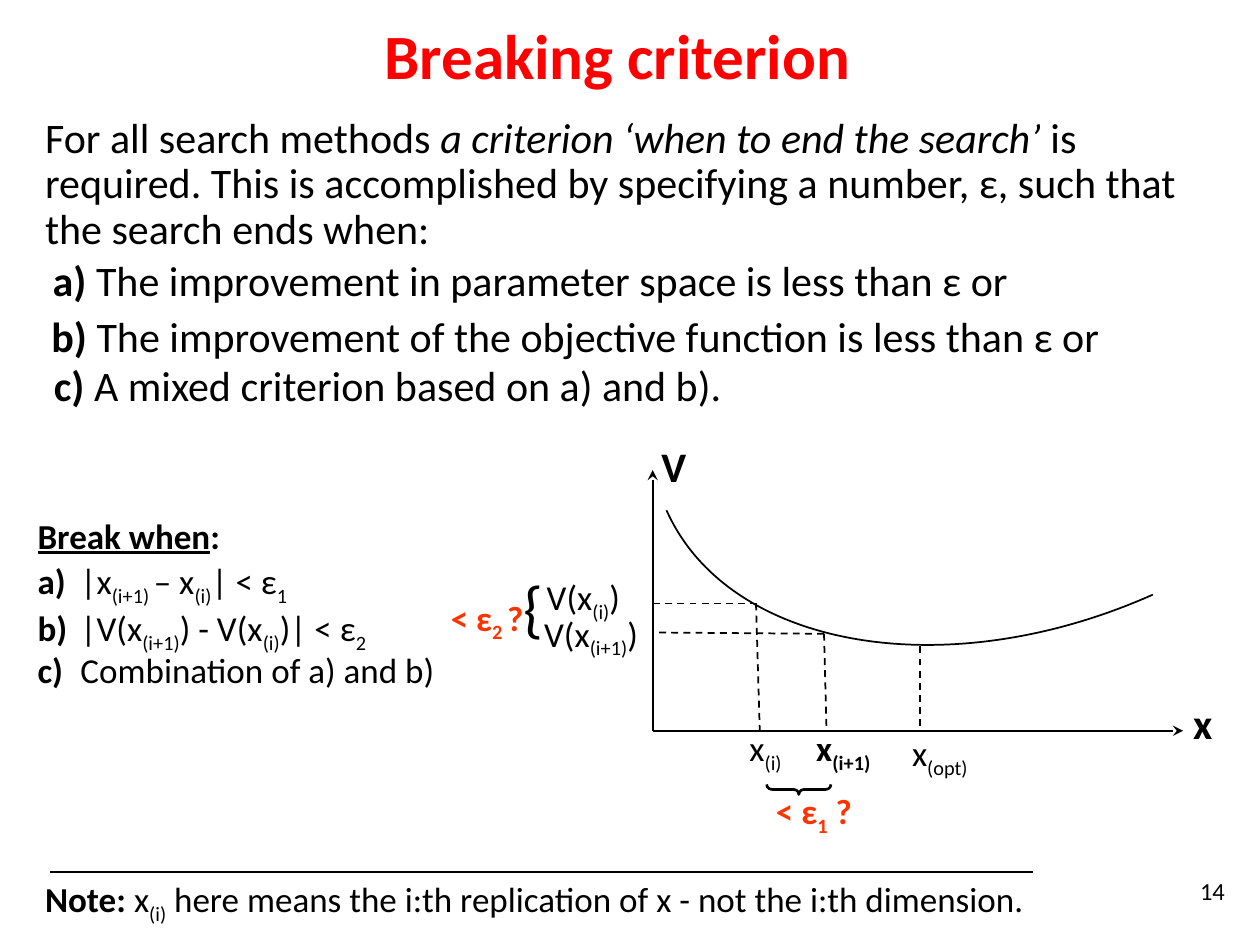
from dataclasses import dataclass

import pptx
import pptx.dml.color
import pptx.enum.dml
import pptx.enum.shapes
import pptx.enum.text
import pptx.oxml
import pptx.oxml.ns
import pptx.util

SCALE = 9144  # EMU per px, at 100 px to the inch
FONT = "Calibri"
COLORS = {"text": "000000", "title": "FF0000", "question": "FF3300"}
ALIGN = pptx.enum.text.PP_ALIGN
SHAPE = pptx.enum.shapes.MSO_SHAPE


@dataclass
class Box:
    left: int
    top: int
    width: int
    height: int

    def inner(self, left, top, width, height):
        """Return a box whose position is given relative to this one."""
        return Box(self.left + left, self.top + top, width, height)

    def emu(self):
        return [px * SCALE for px in (self.left, self.top, self.width, self.height)]


def rgb(name):
    return pptx.dml.color.RGBColor.from_string(COLORS[name])


def add_runs(paragraph, runs, size, color):
    """Fill a paragraph from (text, flags) pairs; flags: b, i, u and s for subscript."""
    bold = all("b" in flags for _, flags in runs)
    for text, flags in runs:
        run = paragraph.add_run()
        run.text = text
        if "b" in flags and not bold:
            run.font.bold = True
        if "i" in flags:
            run.font.italic = True
        if "u" in flags:
            run.font.underline = True
        if "s" in flags:
            run.font._element.set("baseline", "-25000")
    paragraph.font.name = FONT
    paragraph.font.size = pptx.util.Pt(size)
    paragraph.font.bold = bold
    paragraph.font.color.rgb = rgb(color)


def add_text(slide, box, *paragraphs, size=20, color="text", align=ALIGN.LEFT,
             spacing=1, middle=False, wrap=True):
    frame = slide.shapes.add_textbox(*box.emu()).text_frame
    frame.word_wrap = wrap
    if middle:
        frame.vertical_anchor = pptx.enum.text.MSO_ANCHOR.MIDDLE
    for index, runs in enumerate(paragraphs):
        paragraph = frame.add_paragraph() if index else frame.paragraphs[0]
        paragraph.alignment = align
        paragraph.line_spacing = spacing
        if index:
            paragraph.space_before = pptx.util.Pt(2)
        add_runs(paragraph, runs, size, color)
    return frame


def add_line(slide, box, start, end, width=1, dashed=False, arrow=False):
    points = [box.left + start[0], box.top + start[1], box.left + end[0], box.top + end[1]]
    line = slide.shapes.add_connector(
        pptx.enum.shapes.MSO_CONNECTOR.STRAIGHT, *[px * SCALE for px in points])
    line.line.width = pptx.util.Pt(width)
    line.line.color.rgb = rgb("text")
    if dashed:
        line.line.dash_style = pptx.enum.dml.MSO_LINE.DASH
    properties = line._element.spPr
    if arrow:
        outline = properties.find(pptx.oxml.ns.qn("a:ln"))
        tail = pptx.oxml.parse_xml(f'<a:tailEnd {pptx.oxml.ns.nsdecls("a")} type="stealth"/>')
        outline.append(tail)
    properties.append(pptx.oxml.parse_xml(f'<a:effectLst {pptx.oxml.ns.nsdecls("a")}/>'))


def style_outline(shape, width):
    shape.shadow.inherit = False
    shape.fill.background()
    shape.line.color.rgb = rgb("text")
    shape.line.width = pptx.util.Pt(width)


def add_curve(slide, box, start, *controls_and_end):
    """Draw one cubic Bézier segment, turning the builder's three lines into a curve."""
    points = [(box.left + x, box.top + y) for x, y in (start, *controls_and_end)]
    builder = slide.shapes.build_freeform(*points[0], scale=SCALE)
    builder.add_line_segments(points[1:], close=False)
    shape = builder.convert_to_shape()
    segments = shape._element.xpath(".//a:lnTo")
    outline = segments[0].getparent()
    curve = pptx.oxml.parse_xml(f'<a:cubicBezTo {pptx.oxml.ns.nsdecls("a")}/>')
    for segment in segments:
        curve.append(segment[0])
        outline.remove(segment)
    outline.append(curve)
    style_outline(shape, 1)


def add_title(slide, box):
    add_text(slide, box, [("Breaking criterion", "b")], size=36, color="title",
             align=ALIGN.CENTER, middle=True)


def add_introduction(slide, box):
    add_text(slide, box.inner(0, 0, box.width, 119), [
        ("For all search methods ", ""),
        ("a criterion ‘when to end the search’ ", "i"),
        ("is required. This is accomplished by specifying a number, ε, "
         "such that the search ends when:", "")], size=24, spacing=0.9)
    for left, top, letter, text in (
            (6, 114, "a)", " The improvement in parameter space is less than ε or"),
            (5, 158, "b)", " The improvement of the objective function is less than ε or"),
            (7, 197, "c)", " A mixed criterion based on a) and b).")):
        add_text(slide, box.inner(left, top, box.width, 46),
                 [(letter, "b"), (text, "")], size=24, spacing=0.9)


def add_break_rules(slide, box):
    frame = add_text(
        slide, box,
        [("Break when", "bu"), (":", "b")],
        [("a)", "b"), ("\t|x", ""), ("(i+1) ", "s"), ("– x", ""), ("(i)", "s"),
         ("| < ε", ""), ("1", "s")],
        [("b)", "b"), ("\t|V(x", ""), ("(i+1)", "s"), (") - V(x", ""), ("(i)", "s"),
         (")| < ε", ""), ("2", "s")],
        [("c)", "b"), ("\tCombination of a) and b)", "")],
        spacing=0.9)
    indent = 34 * SCALE
    for paragraph in frame.paragraphs[1:]:
        properties = paragraph._p.get_or_add_pPr()
        properties.set("marL", str(indent))
        properties.set("indent", str(-indent))


def add_graph(slide, box):
    """Draw the axes along the left and bottom edges of the box, with curve and labels."""
    corner = (0, box.height)
    add_curve(slide, box, (397, 99), (233, 172), (60, 142), (11, 32))
    add_line(slide, box, corner, (0, 0), arrow=True)
    add_line(slide, box, corner, (box.width, box.height), arrow=True)
    for start, end in (((212, 140), (212, 206)),
                       ((82, 106), (85, 207)), ((83, 106), (0, 106)),
                       ((136, 130), (138, 207)), ((136, 130), (0, 129))):
        add_line(slide, box, start, end, dashed=True)

    for place, name in (((419, 176, 38, 51), "x"), ((-3, -28, 38, 51), "V")):
        add_text(slide, box.inner(*place), [(name, "b")], size=24)
    for place, runs in (
            ((67, 199, 76, 44), [("x", ""), ("(i)", "s")]),
            ((120, 199, 76, 44), [("x", "b"), ("(i+1)", "bs")]),
            ((196, 203, 83, 44), [("x", ""), ("(opt)", "s")]),
            ((-96, 108, 116, 44), [("V(x", ""), ("(i+1)", "s"), (")", "")]),
            ((-94, 79, 121, 44), [("V(x", ""), ("(i)", "s"), (")", "")])):
        add_text(slide, box.inner(*place), runs)

    value_question = add_text(slide, box.inner(-170, 73, 124, 71),
                              [("< ε", "b"), ("2 ", "bs"), ("?", "b")], color="question")
    brace_run = value_question.paragraphs[0].add_run()
    brace_run.text = "{"
    brace_run.font.size = pptx.util.Pt(36)
    brace_run.font.bold = False
    brace_run.font.color.rgb = rgb("text")

    add_text(slide, box.inner(88, 249, 118, 43),
             [("< ε", "b"), ("1", "bs"), (" ?", "b")], color="question")
    brace = slide.shapes.add_shape(SHAPE.LEFT_BRACE, *box.inner(112, 228, 8, 51).emu())
    brace.rotation = 270
    brace.adjustments[0] = 0.51
    style_outline(brace, 1.5)


def add_note(slide, box):
    add_line(slide, box, (14, 0), (794, 0), width=0.75)
    add_text(slide, box, [
        ("Note: ", "b"), ("x", ""), ("(i)", "s"),
        (" here means the i:th replication of x - not the i:th dimension.", "")], spacing=0.9)


def add_slide_number(slide, box):
    add_text(slide, box, [("14", "")], size=14, align=ALIGN.RIGHT, middle=True, wrap=False)


def main():
    presentation = pptx.Presentation()
    presentation.slide_width = 1000 * SCALE
    presentation.slide_height = 750 * SCALE
    slide = presentation.slides.add_slide(presentation.slide_layouts[6])
    add_title(slide, Box(65, 14, 850, 58))
    add_introduction(slide, Box(26, 88, 950, 243))
    add_break_rules(slide, Box(20, 407, 341, 141))
    add_graph(slide, Box(518, 373, 421, 207))
    add_note(slide, Box(26, 692, 806, 40))
    add_slide_number(slide, Box(927, 682, 55, 50))
    presentation.save("out.pptx")


if __name__ == "__main__":
    main()
